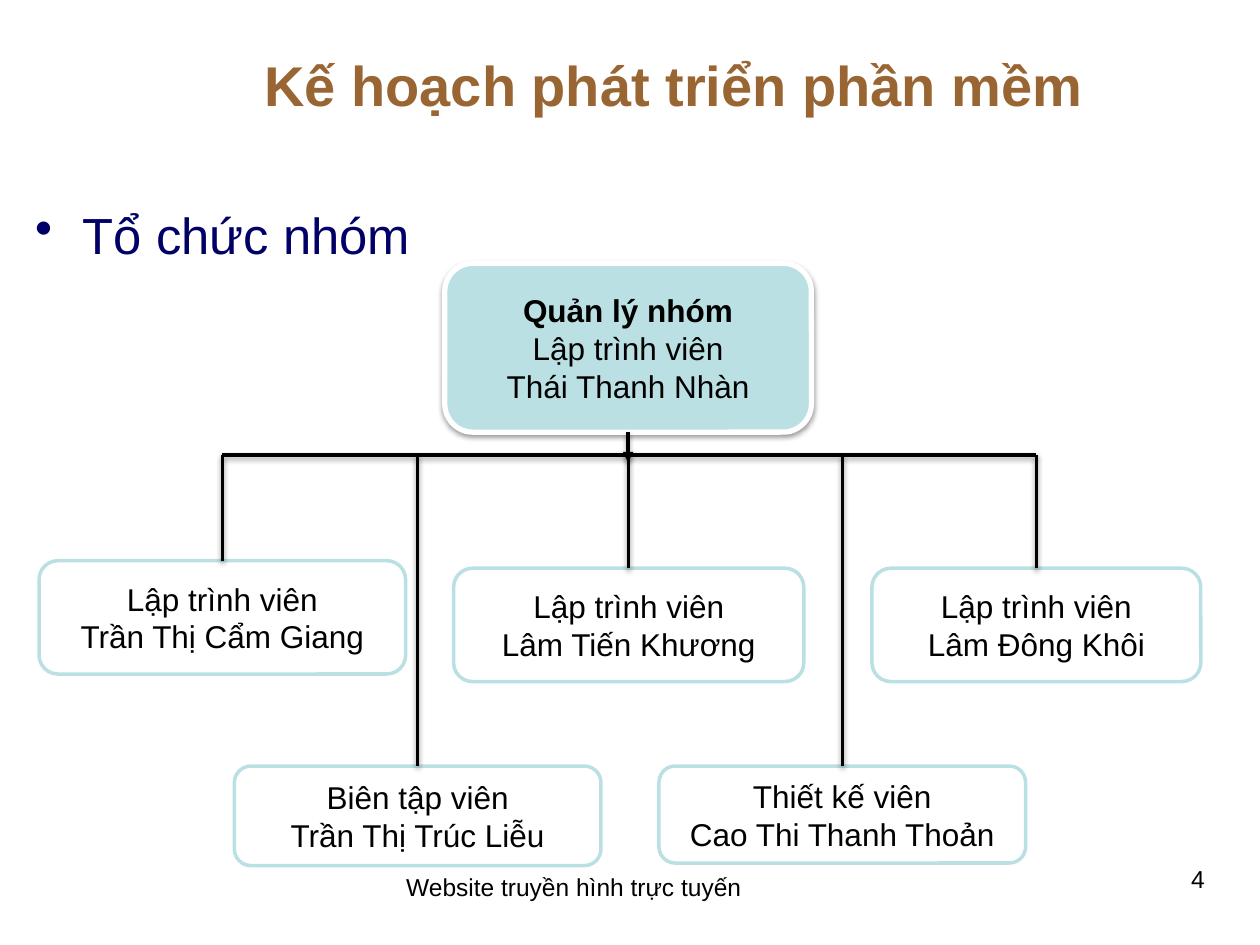
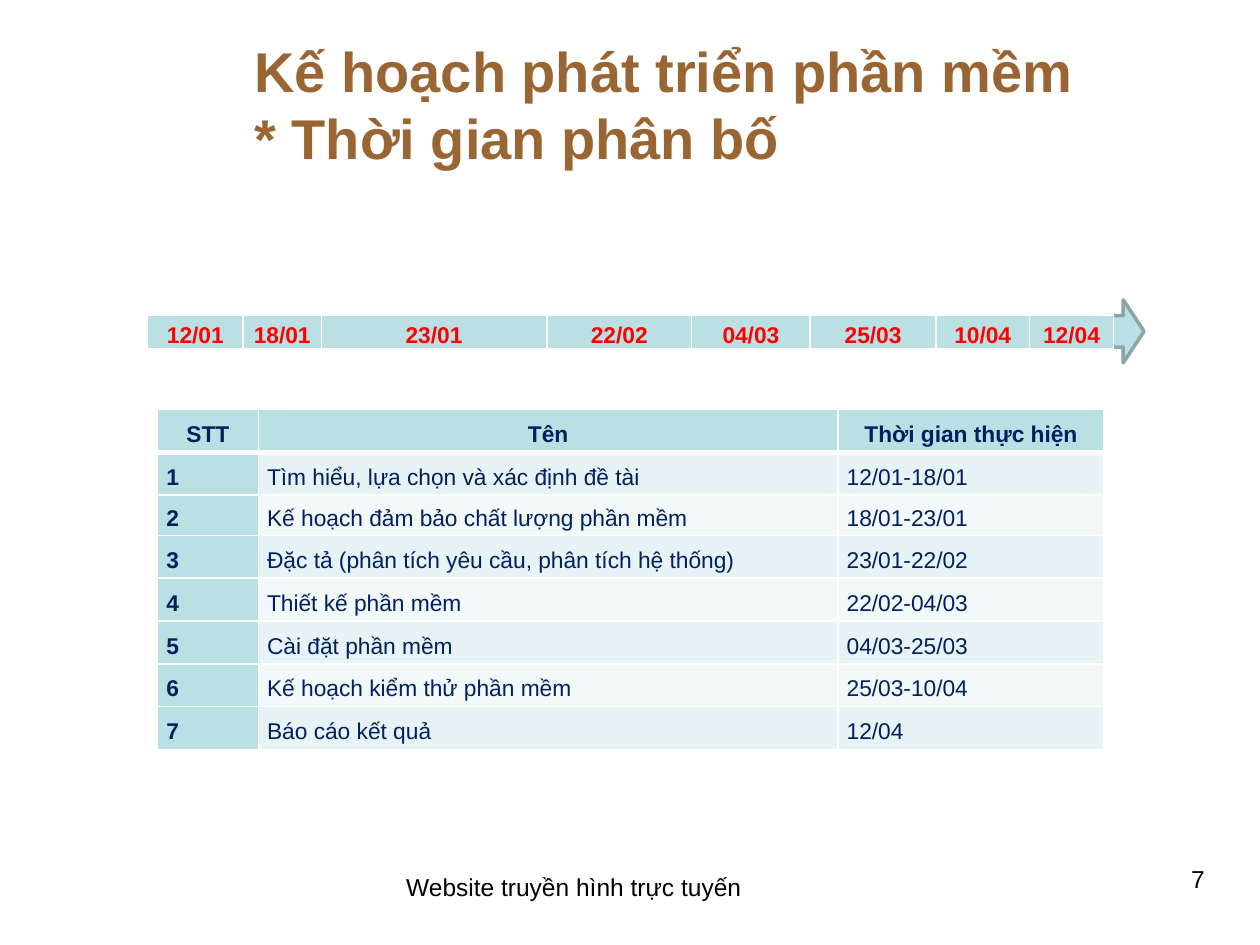
from lxml import etree
from pptx import Presentation
from pptx import util as u
from pptx.dml.color import RGBColor
from pptx.enum import shapes, text
from pptx.oxml import ns

COLUMNS, ROWS = 100, 75
CELL = u.Inches(10) // COLUMNS
FONT = "Arial"
COLORS = {
    "title": "996633", "body": "000066", "text": "000000", "white": "FFFFFF",
    "teal": "BBE0E3", "arrow_line": "8AA6A8", "cell_text": "002060",
    "band_dark": "E7F3F4", "band_light": "F3F9FA", "date": "FF0000",
}
LEFT, CENTER, RIGHT = text.PP_ALIGN.LEFT, text.PP_ALIGN.CENTER, text.PP_ALIGN.RIGHT
MIDDLE, TOP = text.MSO_ANCHOR.MIDDLE, text.MSO_ANCHOR.TOP

TITLE = "Kế hoạch phát triển phần mềm"
FOOTER = "Website truyền hình trực tuyến"
LEAD = ["Quản lý nhóm", "Lập trình viên", "Thái Thanh Nhàn"]
LEAD_BOX = (35.3, 20.9, 29.1, 13.4)
BUS_ROW = 36.1
MEMBERS = [
    ("Biên tập viên", "Trần Thị Trúc Liễu", (18.6, 60.8, 29.1, 7.9)),
    ("Lập trình viên", "Trần Thị Cẩm Giang", (3.1, 44.5, 29.1, 9)),
    ("Thiết kế viên", "Cao Thi Thanh Thoản", (52.3, 60.8, 29.1, 7.7)),
    ("Lập trình viên", "Lâm Tiến Khương", (36, 45.1, 27.8, 9)),
    ("Lập trình viên", "Lâm Đông Khôi", (69.2, 45.1, 26.1, 9)),
]
MILESTONES = ["12/01", "18/01", "23/01", "22/02", "04/03", "25/03", "10/04", "12/04"]
SCHEDULE = [
    ("STT", "Tên", "Thời gian thực hiện"),
    ("1", "Tìm hiểu, lựa chọn và xác định đề tài", "12/01-18/01"),
    ("2", "Kế hoạch đảm bảo chất lượng phần mềm", "18/01-23/01"),
    ("3", "Đặc tả (phân tích yêu cầu, phân tích hệ thống)", "23/01-22/02"),
    ("4", "Thiết kế phần mềm", "22/02-04/03"),
    ("5", "Cài đặt phần mềm", "04/03-25/03"),
    ("6", "Kế hoạch kiểm thử phần mềm", "25/03-10/04"),
    ("7", "Báo cáo kết quả", "12/04"),
]


def grid(*values):
    return [u.Emu(round(value * CELL)) for value in values]


def color(name):
    return RGBColor.from_string(COLORS[name])


def child(parent, tag, **attributes):
    element = etree.SubElement(parent, ns.qn(tag))
    for key, value in attributes.items():
        element.set(key, str(value))
    return element


def style(paragraph, size, ink, bold=False, align=LEFT):
    paragraph.alignment = align
    font = paragraph.font
    font.name, font.size, font.bold = FONT, u.Pt(size), bold
    font.color.rgb = color(ink)


def add_text(slide, box, content, size, ink="text", bold=False, align=LEFT, anchor=TOP):
    frame = slide.shapes.add_textbox(*grid(*box)).text_frame
    frame.word_wrap = True
    frame.vertical_anchor = anchor
    paragraph = frame.paragraphs[0]
    paragraph.text = content
    style(paragraph, size, ink, bold, align)
    return paragraph


def add_bullet(slide, box, content):
    paragraph = add_text(slide, box, content, 29, "body")
    paragraph.space_before = u.Pt(5.8)
    properties = paragraph.font._element.getparent()
    indent = u.Inches(0.38)
    properties.set("marL", str(indent))
    properties.set("indent", str(-indent))
    bullet = child(properties, "a:buChar", char="•")
    properties.find(ns.qn("a:defRPr")).addprevious(bullet)


def add_shadow(properties):
    shadow = child(child(properties, "a:effectLst"), "a:outerShdw", blurRad=u.Pt(3.1),
                   dist=u.Pt(1.6), dir=90 * 60000, rotWithShape=0)
    child(child(shadow, "a:srgbClr", val=COLORS["text"]), "a:alpha", val=38000)


def add_outlined(slide, kind, box, fill, line, width):
    shape = slide.shapes.add_shape(kind, *grid(*box))
    shape.shadow.inherit = False
    shape.fill.solid()
    shape.fill.fore_color.rgb = color(fill)
    shape.line.color.rgb = color(line)
    shape.line.width = u.Pt(width)
    return shape


def add_card(slide, box, lines, fill="white", line="teal", width=2):
    shape = add_outlined(slide, shapes.MSO_SHAPE.ROUNDED_RECTANGLE, box, fill, line, width)
    frame = shape.text_frame
    frame.margin_left = frame.margin_right = frame.margin_top = frame.margin_bottom = 0
    frame.vertical_anchor = MIDDLE
    frame.text = "\n".join(lines)
    for paragraph in frame.paragraphs:
        style(paragraph, 18, "text", align=CENTER)
    return shape


def add_line(slide, start, end, arrow=False):
    connector = slide.shapes.add_connector(shapes.MSO_CONNECTOR.STRAIGHT, *grid(*start, *end))
    connector.line.color.rgb = color("text")
    connector.line.width = u.Pt(2)
    if arrow:
        child(connector.line._get_or_add_ln(), "a:tailEnd", type="triangle")
    add_shadow(connector._element.spPr)


def set_borders(cell, bottom):
    properties = cell._tc.get_or_add_tcPr()
    for index, side in enumerate("LRTB"):
        border = child(properties, f"a:ln{side}", w=u.Pt(bottom if side == "B" else 1))
        child(child(border, "a:solidFill"), "a:srgbClr", val=COLORS["white"])
        properties.insert(index, border)


def fill_cell(cell, content, fill, ink, bold, align, anchor, bottom):
    cell.fill.solid()
    cell.fill.fore_color.rgb = color(fill)
    cell.margin_left = cell.margin_right = u.Inches(0.07)
    cell.margin_top = cell.margin_bottom = 0
    cell.vertical_anchor = anchor
    paragraph = cell.text_frame.paragraphs[0]
    paragraph.text = content
    paragraph.line_spacing = 1.3
    style(paragraph, 13, ink, bold, align)
    set_borders(cell, bottom)


def add_grid_table(slide, left, top, widths, heights):
    box = grid(left, top, sum(widths), sum(heights))
    table = slide.shapes.add_table(len(heights), len(widths), *box).table
    for column, width in zip(table.columns, grid(*widths)):
        column.width = width
    for row, height in zip(table.rows, grid(*heights)):
        row.height = height
    return table


def add_timeline(slide):
    add_outlined(slide, shapes.MSO_SHAPE.RIGHT_ARROW, (87.5, 23.8, 3.3, 5),
                 "teal", "arrow_line", 2)
    widths = [7.6, 6.2, 17.9, 11.5, 9.4, 10, 7.4, 6.7]
    table = add_grid_table(slide, 11.7, 25, widths, [2.7])
    for cell, date in zip(table.rows[0].cells, MILESTONES):
        fill_cell(cell, date, "teal", "date", True, CENTER, TOP, 3)


def add_schedule(slide):
    heights = [3.4, 3.4, 3.2] + [3.4] * 5
    table = add_grid_table(slide, 12.5, 32.5, [8, 46, 21.1], heights)
    for row, values in enumerate(SCHEDULE):
        band = "band_dark" if row % 2 else "band_light"
        for column, value in enumerate(values):
            heading = row == 0 or column == 0
            fill_cell(table.cell(row, column), value, "teal" if heading else band,
                      "cell_text", heading, LEFT if row else CENTER, MIDDLE,
                      1 if row else 3)


def add_organisation(slide):
    lead = add_card(slide, LEAD_BOX, LEAD, "teal", "white", 3)
    lead.text_frame.paragraphs[0].font.bold = True
    properties = lead._element.spPr
    properties.remove(properties.find(ns.qn("a:effectLst")))
    add_shadow(properties)
    for role, name, box in MEMBERS:
        add_card(slide, box, (role, name))
    tops = [(left + width / 2, top) for _, _, (left, top, width, _) in MEMBERS]
    centers = [center for center, _ in tops]
    add_line(slide, (min(centers), BUS_ROW), (max(centers), BUS_ROW))
    for center, top in tops:
        add_line(slide, (center, BUS_ROW), (center, top))
    left, top, width, height = LEAD_BOX
    middle = left + width / 2
    add_line(slide, (middle, top + height), (middle, BUS_ROW + 0.6), arrow=True)


def add_slide(presentation, title, title_box, number):
    slide = presentation.slides.add_slide(presentation.slide_layouts[6])
    add_text(slide, title_box, title, 32, "title", bold=True, anchor=MIDDLE)
    add_text(slide, (29.7, 68.7, 31.7, 5.2), FOOTER, 14, align=CENTER)
    add_text(slide, (73.3, 68.1, 23.3, 6.1), number, 14, align=RIGHT)
    return slide


def main():
    presentation = Presentation()
    presentation.slide_width, presentation.slide_height = grid(COLUMNS, ROWS)

    team = add_slide(presentation, TITLE, (20, 0, 80.3, 13.3), "4")
    add_bullet(team, (1.8, 15.7, 93.6, 56.7), "Tổ chức nhóm")
    add_organisation(team)

    plan = add_slide(presentation, TITLE + "\v* Thời gian phân bố", (19.2, 3.1, 77.5, 10.3), "7")
    add_schedule(plan)
    add_timeline(plan)

    presentation.save("out.pptx")


main()
